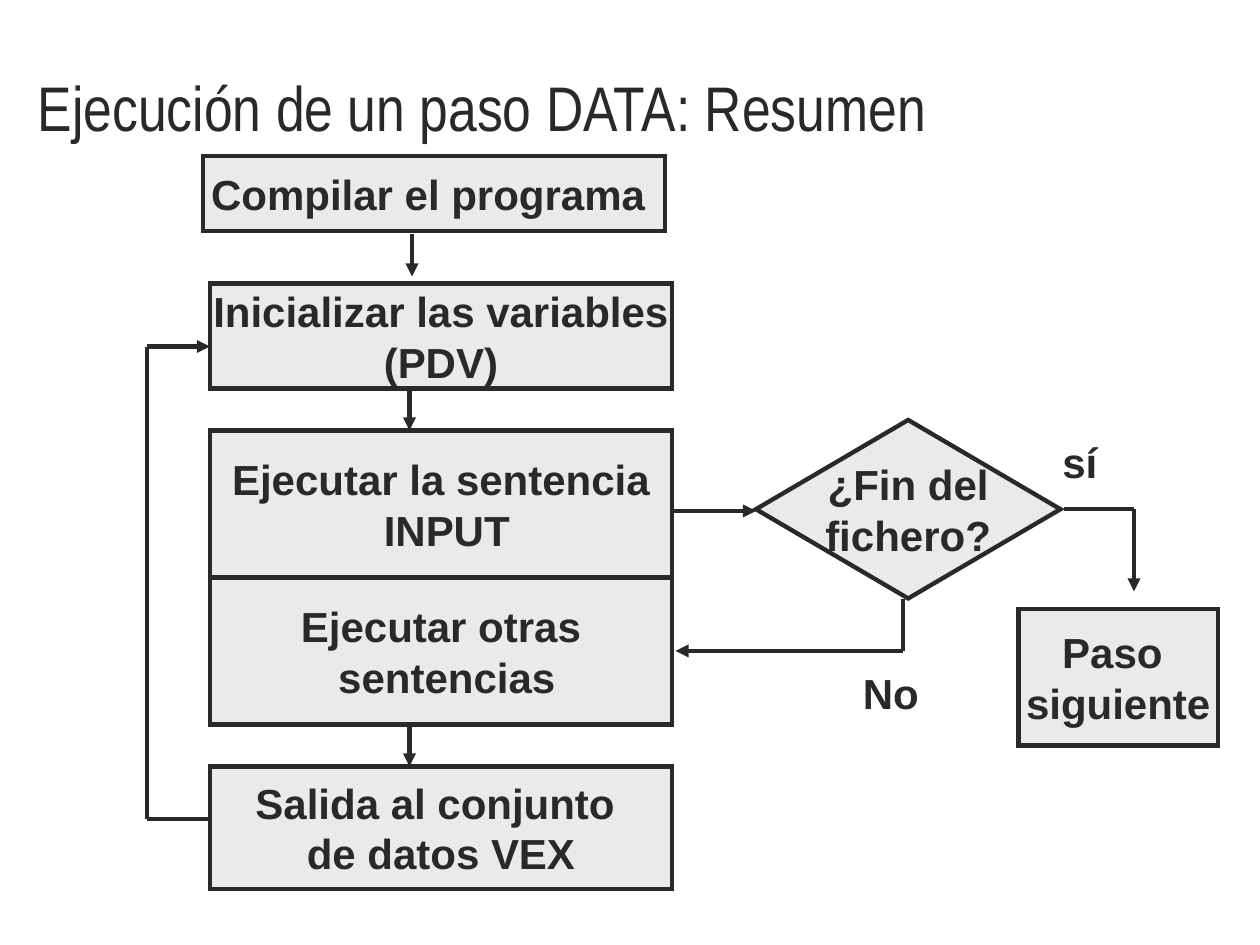
from dataclasses import dataclass
from itertools import pairwise

from lxml.etree import SubElement
from pptx import Presentation
from pptx.dml.color import RGBColor
from pptx.enum.shapes import MSO_CONNECTOR as Connector, MSO_SHAPE as Shape
from pptx.enum.text import MSO_ANCHOR as Anchor, MSO_AUTO_SIZE as AutoSize, PP_ALIGN as Align
from pptx.oxml.ns import qn
from pptx.util import Pt


@dataclass(frozen=True)
class Theme:
    """Colours, fonts and sizes of the flow chart."""
    ink: RGBColor = RGBColor(0x29, 0x29, 0x29)
    panel: RGBColor = RGBColor(0xEA, 0xEA, 0xEA)
    title_font: str = "Arial Narrow"
    body_font: str = "Arial"
    title_size: float = 36
    body_size: float = 24
    stroke: float = 2.5


THEME = Theme()


def write_text(frame, text, font=THEME.body_font, size=THEME.body_size, bold=True,
               align=Align.CENTER, anchor=Anchor.MIDDLE, wrap=False, spacing=None):
    """Fill a text frame with one paragraph for each line of text."""
    frame.text = text
    frame.word_wrap = wrap
    frame.auto_size = AutoSize.NONE
    frame.vertical_anchor = anchor
    for para in frame.paragraphs:
        para.alignment = align
        para.line_spacing = spacing
        for span in para.runs:
            span.font.name = font
            span.font.size = Pt(size)
            span.font.bold = bold
            span.font.color.rgb = THEME.ink


def add_step(page, box, text, kind=Shape.FLOWCHART_PROCESS):
    """Draw one outlined flow chart step."""
    step = page.shapes.add_shape(kind, *map(Pt, box))
    step.shadow.inherit = False
    step.fill.solid()
    step.fill.fore_color.rgb = THEME.panel
    step.line.color.rgb = THEME.ink
    step.line.width = Pt(THEME.stroke)
    SubElement(step.line._get_or_add_ln(), qn("a:miter"), lim="800000")
    write_text(step.text_frame, text)


def add_label(page, box, text):
    """Place the answer beside a branch of the decision."""
    label = page.shapes.add_textbox(*map(Pt, box))
    write_text(label.text_frame, text, align=Align.LEFT, anchor=Anchor.TOP, wrap=True)


def add_route(page, *points):
    """Join points with straight lines and put an arrowhead on the last."""
    for start, end in pairwise(points):
        line = page.shapes.add_connector(Connector.STRAIGHT, *map(Pt, start + end))
        line.line.color.rgb = THEME.ink
        line.line.width = Pt(THEME.stroke)
        SubElement(line._element.spPr, qn("a:effectLst"))
    SubElement(line.line._get_or_add_ln(), qn("a:tailEnd"), type="triangle")


def place_title(page, box):
    """Move and format the title placeholder."""
    title = page.shapes.title
    title.left, title.top, title.width, title.height = map(Pt, box)
    write_text(title.text_frame, "Ejecución de un paso DATA: Resumen", font=THEME.title_font,
               size=THEME.title_size, bold=False, align=Align.LEFT, wrap=True, spacing=0.83)


def place_main_flow(page, box):
    """Stack the processing steps and the arrows between them."""
    left, top, width, height = box
    column = left + 4
    step_width = width - 4
    add_step(page, (left, top, step_width, 43), "Compilar el programa ")
    steps = (
        (73, 60, "Inicializar las variables\n(PDV)"),
        (157, 84, "Ejecutar la sentencia\n INPUT"),
        (241, 84, "Ejecutar otras\n sentencias"),
        (349, height - 349, "Salida al conjunto \nde datos VEX"),
    )
    for offset, step_height, text in steps:
        add_step(page, (column, top + offset, step_width, step_height), text)
    for across, start, end in ((119.5, 45, 69), (118, 133, 157), (118, 325, 349)):
        add_route(page, (left + across, top + start), (left + across, top + end))


def place_branch(page, box):
    """Draw the end-of-file decision with its two answers."""
    left, top, width, height = box
    right = left + width
    add_step(page, (left + 48, top, 174, 102), "¿Fin del\nfichero?", Shape.FLOWCHART_DECISION)
    add_step(page, (right - 114, top + height - 78, 114, 78), "Paso \nsiguiente")
    add_route(page, (left, top + 52), (left + 48, top + 52))
    add_route(page, (left + 132, top + 102), (left + 132, top + 132), (left + 2, top + 132))
    add_route(page, (left + 224, top + 51), (right - 48, top + 51), (right - 48, top + 98))
    add_label(page, (left + 102, top + 138, 54, 36), "No")
    add_label(page, (left + 216, top + 6, 66, 36), "sí")


def place_loop(page, box):
    """Lead from the output step back to the initialisation."""
    left, top, width, height = box
    right, bottom = left + width, top + height
    add_route(page, (right, bottom), (left, bottom), (left, top), (right, top))


def main():
    """Build and save the slide."""
    deck = Presentation()
    deck.slide_width, deck.slide_height = Pt(720), Pt(540)
    page = deck.slides.add_slide(deck.slide_layouts[5])
    place_title(page, (14.4, 37.5, 618, 54))
    place_main_flow(page, (116, 89, 268, 419))
    place_branch(page, (384, 240, 312, 186))
    place_loop(page, (84, 198, 36, 270))
    deck.save("out.pptx")


if __name__ == "__main__":
    main()
